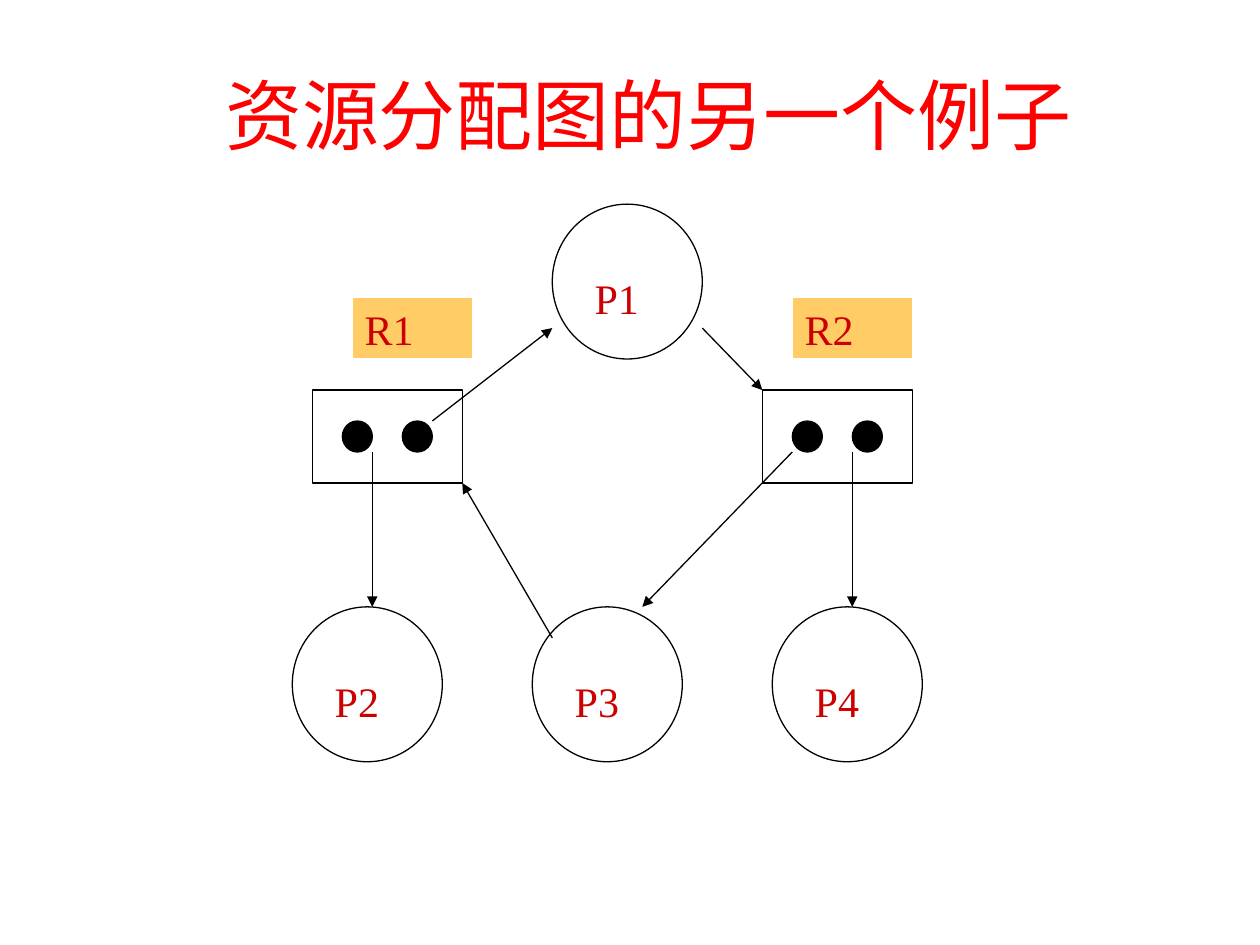
from dataclasses import dataclass

from lxml.etree import SubElement
from pptx import Presentation
from pptx.dml.color import RGBColor
from pptx.enum.shapes import MSO_CONNECTOR, MSO_SHAPE
from pptx.enum.text import MSO_ANCHOR, PP_ALIGN
from pptx.oxml.ns import qn
from pptx.util import Inches, Pt


@dataclass(frozen=True)
class Theme:
    title_color: RGBColor = RGBColor(0xFF, 0x00, 0x00)
    label_color: RGBColor = RGBColor(0xCC, 0x00, 0x00)
    tag_color: RGBColor = RGBColor(0xFF, 0xCC, 0x66)
    ink: RGBColor = RGBColor(0x00, 0x00, 0x00)
    paper: RGBColor = RGBColor(0xFF, 0xFF, 0xFF)
    font: str = "Times New Roman"
    title_size: int = 44
    label_size: int = 24
    line_width: float = 0.75


class GraphSlide:
    def __init__(self, deck, theme):
        self.theme = theme
        self.page = deck.slides.add_slide(deck.slide_layouts[5])
        self.column = deck.slide_width / 252
        self.row = deck.slide_height / 61
        self.left, self.top = Inches(2.32), Inches(1.62)

    def point(self, column, row):
        return int(self.left + column * self.column), int(self.top + row * self.row)

    def style_text(self, para, size, color):
        for span in para.runs:
            span.font.name = self.theme.font
            span.font.size = Pt(size)
            span.font.color.rgb = color

    def title(self, text):
        box = self.page.shapes.title
        box.left, box.top = Inches(0.9), Inches(0.54)
        box.width, box.height = Inches(8.5), Inches(0.73)
        box.text_frame.text = text
        box.text_frame.vertical_anchor = MSO_ANCHOR.MIDDLE
        para = box.text_frame.paragraphs[0]
        para.alignment = PP_ALIGN.CENTER
        self.style_text(para, self.theme.title_size, self.theme.title_color)

    def shape(self, kind, column, row, columns, rows, fill, line):
        box = self.page.shapes.add_shape(
            kind, *self.point(column, row), int(columns * self.column), int(rows * self.row))
        box.shadow.inherit = False
        box.fill.solid()
        box.fill.fore_color.rgb = fill
        box.line.color.rgb = line
        box.line.width = Pt(self.theme.line_width)
        return box

    def label(self, text, column, row, columns, fill):
        box = self.shape(MSO_SHAPE.RECTANGLE, column, row, columns, 4, fill, self.theme.paper)
        box.text_frame.text = text
        box.text_frame.vertical_anchor = MSO_ANCHOR.TOP
        para = box.text_frame.paragraphs[0]
        para.alignment = PP_ALIGN.LEFT
        self.style_text(para, self.theme.label_size, self.theme.label_color)

    def process(self, name, column, row):
        self.shape(MSO_SHAPE.OVAL, column, row, 30, 10, self.theme.paper, self.theme.ink)
        self.label(name, column + 6, row + 4, 18, self.theme.paper)

    def resource(self, name, column, row, tag_column):
        self.label(name, tag_column, row - 6, 24, self.theme.tag_color)
        self.shape(MSO_SHAPE.RECTANGLE, column, row, 30, 6, self.theme.paper, self.theme.ink)
        for offset in (6, 18):
            self.shape(MSO_SHAPE.OVAL, column + offset, row + 2, 6, 2,
                       self.theme.ink, self.theme.ink)

    def arrow(self, start, end):
        line = self.page.shapes.add_connector(
            MSO_CONNECTOR.STRAIGHT, *self.point(*start), *self.point(*end))
        line.line.color.rgb = self.theme.ink
        line.line.width = Pt(self.theme.line_width)
        SubElement(line.line._get_or_add_ln(), qn("a:tailEnd"), type="triangle")
        SubElement(line._element.spPr, qn("a:effectLst"))


def main():
    deck = Presentation()
    deck.slide_width, deck.slide_height = Inches(10), Inches(7.5)
    graph = GraphSlide(deck, Theme())
    graph.title("资源分配图的另一个例子")

    for name, column, row in (("P2", 0, 26), ("P3", 48, 26), ("P4", 96, 26), ("P1", 52, 0)):
        graph.process(name, column, row)
    for name, column, tag_column in (("R1", 4, 12), ("R2", 94, 100)):
        graph.resource(name, column, 12, tag_column)

    arrows = (
        ((28, 14), (52, 8)),
        ((82, 8), (94, 12)),
        ((112, 16), (112, 26)),
        ((100, 16), (70, 26)),
        ((52, 28), (34, 18)),
        ((16, 16), (16, 26)),
    )
    for start, end in arrows:
        graph.arrow(start, end)

    deck.save("out.pptx")


if __name__ == "__main__":
    main()
